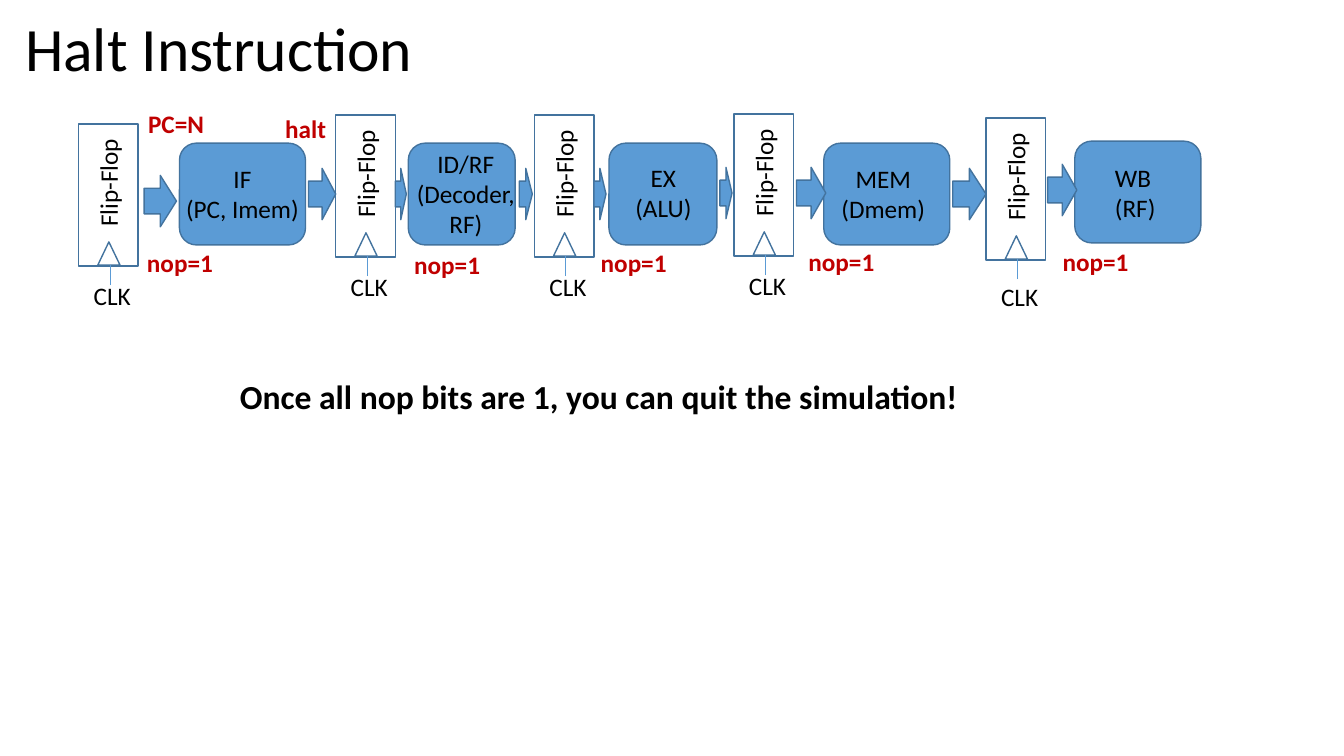
"""Build the Halt Instruction slide: a five-stage pipeline with its nop bits."""
from dataclasses import dataclass

from lxml.etree import SubElement
from pptx import Presentation
from pptx.dml.color import RGBColor
from pptx.enum.shapes import MSO_CONNECTOR, MSO_SHAPE as Preset
from pptx.enum.text import MSO_ANCHOR, PP_ALIGN as Align
from pptx.oxml.ns import qn
from pptx.shapes.autoshape import Shape
from pptx.util import Inches, Pt

COLORS = {"blue": "5B9BD5", "edge": "43739E", "red": "C00000", "black": "000000"}
FONT = "Calibri"


@dataclass(frozen=True)
class Area:
    left: float
    top: float
    width: float
    height: float

    def emu(self) -> list[int]:
        return [Inches(v) for v in (self.left, self.top, self.width, self.height)]


@dataclass(frozen=True)
class Stage:
    lines: tuple[str, ...]
    body: Area
    label: Area
    align: Align = Align.CENTER
    wrap: bool = False


@dataclass(frozen=True)
class FlipFlop:
    left: float
    top: float
    clock_drop: float = 1.5


@dataclass(frozen=True)
class Arrow:
    left: float
    top: float
    width: float


@dataclass(frozen=True)
class Tag:
    text: str
    left: float
    top: float
    width: float = 0.86


STAGES = [
    Stage(("IF", "(PC, Imem)"), Area(1.78, 1.42, 1.25, 1.01), Area(1.74, 1.57, 1.33, 0.71)),
    Stage(("ID/RF", "(Decoder, RF)"), Area(4.05, 1.42, 1.06, 1.01),
          Area(4.01, 1.42, 1.22, 1.01), wrap=True),
    Stage(("EX", "(ALU)"), Area(6.04, 1.42, 1.07, 1.01), Area(6.2, 1.56, 0.76, 0.71)),
    Stage(("MEM", "(Dmem)"), Area(8.17, 1.42, 1.25, 1.01), Area(8.24, 1.57, 1.04, 0.71)),
    Stage(("WB", "(RF)"), Area(10.66, 1.4, 1.25, 1.01), Area(10.96, 1.56, 0.61, 0.71),
          align=Align.LEFT),
]
FLIP_FLOPS = [
    FlipFlop(0.78, 1.23), FlipFlop(3.33, 1.14), FlipFlop(5.3, 1.14),
    FlipFlop(7.28, 1.13), FlipFlop(9.78, 1.17, clock_drop=1.57),
]
ARROWS = [
    Arrow(1.43, 1.74, 0.32), Arrow(3.06, 1.67, 0.27), Arrow(3.92, 1.67, 0.11),
    Arrow(5.15, 1.67, 0.13), Arrow(5.89, 1.67, 0.12), Arrow(7.14, 1.66, 0.12),
    Arrow(7.9, 1.66, 0.29), Arrow(9.45, 1.67, 0.33), Arrow(10.39, 1.63, 0.29),
]
TAGS = [
    Tag("PC=N", 1.37, 1.03, 0.76), Tag("halt", 2.73, 1.08, 0.61),
    Tag("nop=1", 1.36, 2.4), Tag("nop=1", 4.01, 2.42), Tag("nop=1", 5.86, 2.4),
    Tag("nop=1", 7.92, 2.39), Tag("nop=1", 10.44, 2.39),
]

deck = Presentation()
deck.slide_width, deck.slide_height = Inches(13.33), Inches(7.5)
page = deck.slides.add_slide(deck.slide_layouts[6])


def add_text(lines: tuple[str, ...], area: Area, size: int = 18, color: str = "black",
             bold: bool = False, align: Align = Align.LEFT, wrap: bool = False) -> Shape:
    box = page.shapes.add_textbox(*area.emu())
    frame = box.text_frame
    frame.word_wrap = wrap
    for number, line in enumerate(lines):
        para = frame.add_paragraph() if number else frame.paragraphs[0]
        para.alignment = align
        span = para.add_run()
        span.text = line
        span.font.name, span.font.size, span.font.bold = FONT, Pt(size), bold
        span.font.color.rgb = RGBColor.from_string(COLORS[color])
    return box


def add_preset(preset: Preset, area: Area, filled: bool = True) -> None:
    shape = page.shapes.add_shape(preset, *area.emu())
    shape.shadow.inherit = False
    if filled:
        shape.fill.solid()
        shape.fill.fore_color.rgb = RGBColor.from_string(COLORS["blue"])
    else:
        shape.fill.background()
    shape.line.color.rgb = RGBColor.from_string(COLORS["edge"])
    shape.line.width = Pt(1)


def add_wire(x: float, top: float, bottom: float) -> None:
    wire = page.shapes.add_connector(
        MSO_CONNECTOR.STRAIGHT, Inches(x), Inches(bottom), Inches(x), Inches(top))
    wire.line.color.rgb = RGBColor.from_string(COLORS["blue"])
    wire.line.width = Pt(0.5)
    SubElement(wire.element.spPr, qn("a:effectLst"))


def add_stage(stage: Stage) -> None:
    add_preset(Preset.ROUNDED_RECTANGLE, stage.body)
    add_text(stage.lines, stage.label, align=stage.align, wrap=stage.wrap)


def add_flip_flop(flop: FlipFlop) -> None:
    left, top = flop.left, flop.top
    add_preset(Preset.RECTANGLE, Area(left, top, 0.59, 1.41), filled=False)
    add_preset(Preset.ISOSCELES_TRIANGLE, Area(left + 0.19, top + 1.17, 0.22, 0.23), filled=False)
    add_text(("Flip-Flop",), Area(left - 0.25, top + 0.38, 1.08, 0.4)).rotation = 270
    add_wire(left + 0.31, top + 1.4, top + 1.6)
    add_text(("CLK",), Area(left + 0.05, top + flop.clock_drop, 0.58, 0.4))


title = add_text(("Halt Instruction",), Area(0.15, 0.12, 11.5, 0.78), size=44, wrap=True)
title.text_frame.vertical_anchor = MSO_ANCHOR.MIDDLE
title.text_frame.paragraphs[0].line_spacing = 0.9
add_text(("Once all nop bits are 1, you can quit the simulation!",),
         Area(2.28, 3.68, 11.05, 0.5), size=24, bold=True, wrap=True)
for stage in STAGES:
    add_stage(stage)
for flop in FLIP_FLOPS:
    add_flip_flop(flop)
for arrow in ARROWS:
    add_preset(Preset.RIGHT_ARROW, Area(arrow.left, arrow.top, arrow.width, 0.51))
for tag in TAGS:
    add_text((tag.text,), Area(tag.left, tag.top, tag.width, 0.4), color="red", bold=True)

deck.save("out.pptx")
